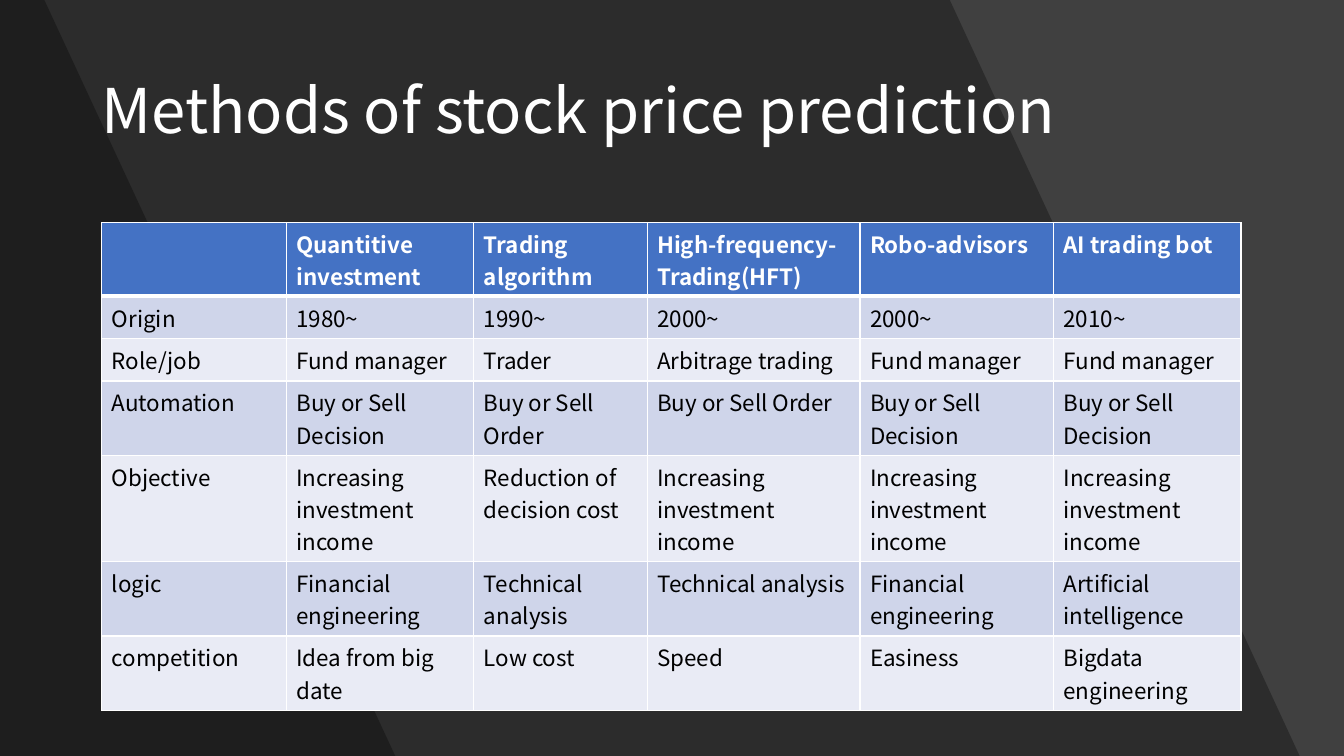
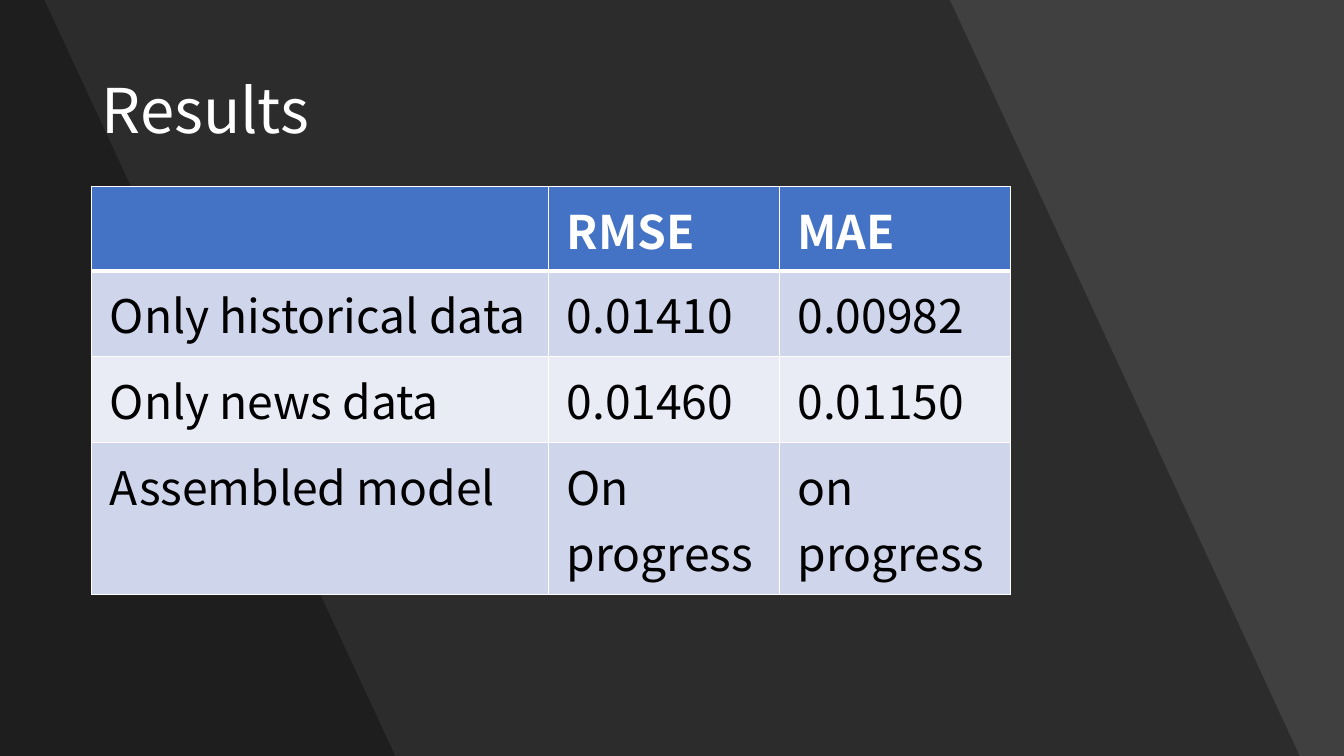
from dataclasses import dataclass

from lxml import etree
from pptx import Presentation
from pptx.dml.color import RGBColor
from pptx.enum.text import MSO_ANCHOR
from pptx.oxml.ns import qn
from pptx.util import Inches, Pt

MIDDLE = MSO_ANCHOR.MIDDLE
TOP = MSO_ANCHOR.TOP
BLANK_LAYOUT = 6


@dataclass(frozen=True)
class Theme:
    font: str = "Noto Sans CJK JP"
    backdrop: str = "404040"
    shade: str = "000000"
    shade_opacity: int = 30
    light_text: str = "FFFFFF"
    dark_text: str = "000000"
    header_fill: str = "4472C4"
    band_fills: tuple = ("CFD5EA", "E9EBF5")
    border: str = "FFFFFF"
    thin_border: int = 1
    thick_border: int = 3
    title_size: int = 44
    methods_size: int = 16
    results_size: int = 33


THEME = Theme()

METHODS = [
    ["", "Quantitive investment", "Trading algorithm", "High-frequency-Trading(HFT)",
     "Robo-advisors", "AI trading bot"],
    ["Origin", "1980~", "1990~", "2000~", "2000~", "2010~"],
    ["Role/job", "Fund manager", "Trader", "Arbitrage trading", "Fund manager", "Fund manager"],
    ["Automation", "Buy or Sell Decision", "Buy or Sell Order", "Buy or Sell Order",
     "Buy or Sell Decision", "Buy or Sell Decision"],
    ["Objective", "Increasing investment income", "Reduction of decision cost",
     "Increasing investment income", "Increasing investment income",
     "Increasing investment income"],
    ["logic", "Financial engineering", "Technical analysis", "Technical analysis",
     "Financial engineering", "Artificial intelligence"],
    ["competition", "Idea from big date", "Low cost", "Speed", "Easiness",
     "Bigdata engineering"],
]

RESULTS = [
    ["", "RMSE", "MAE"],
    ["Only historical data", "0.01410", "0.00982"],
    ["Only news data", "0.01460", "0.01150"],
    ["Assembled model", "On progress", "on progress"],
]


class SlideBuilder:
    def __init__(self, theme):
        self.theme = theme
        self.deck = Presentation()
        self.deck.slide_width = Inches(13.33)
        self.deck.slide_height = Inches(7.5)
        self.page = None

    def start_page(self, title):
        self.page = self.deck.slides.add_slide(self.deck.slide_layouts[BLANK_LAYOUT])
        fill = self.page.background.fill
        fill.solid()
        fill.fore_color.rgb = RGBColor.from_string(self.theme.backdrop)
        for top_right, bottom_right in ((9.42, 12.89), (0.44, 3.92)):
            self.add_shade(top_right, bottom_right)
        self.add_title(title)

    def add_shade(self, top_right, bottom_right):
        bottom = self.deck.slide_height
        outline = self.page.shapes.build_freeform(0, 0)
        outline.add_line_segments(
            [(Inches(top_right), 0), (Inches(bottom_right), bottom), (0, bottom)])
        shade = outline.convert_to_shape()
        shade.shadow.inherit = False
        shade.line.fill.background()
        shade.fill.solid()
        shade.fill.fore_color.rgb = RGBColor.from_string(self.theme.shade)
        color = shade._element.spPr.find(".//" + qn("a:srgbClr"))
        etree.SubElement(color, qn("a:alpha"), val=str(self.theme.shade_opacity * 1000))

    def add_span(self, para, text, size, color, bold=False):
        span = para.add_run()
        span.text = text
        span.font.name = self.theme.font
        span.font.size = Pt(size)
        span.font.bold = bold
        span.font.color.rgb = RGBColor.from_string(color)

    def add_title(self, text):
        box = self.page.shapes.add_textbox(
            Inches(0.91), Inches(0.4), Inches(11.51), Inches(1.45))
        frame = box.text_frame
        frame.word_wrap = True
        frame.vertical_anchor = MIDDLE
        para = frame.paragraphs[0]
        para.line_spacing = 0.9
        self.add_span(para, text, self.theme.title_size, self.theme.light_text)

    def add_table(self, rows, left, top, widths, heights, size, margins):
        table = self.page.shapes.add_table(
            len(rows), len(widths), Inches(left), Inches(top),
            Inches(sum(widths)), Inches(sum(heights))).table
        for column, width in zip(table.columns, widths):
            column.width = Inches(width)
        for row, height in zip(table.rows, heights):
            row.height = Inches(height)
        for row_index, texts in enumerate(rows):
            for column_index, text in enumerate(texts):
                self.fill_cell(table.cell(row_index, column_index), text,
                               row_index, size, margins)

    def fill_cell(self, cell, text, row_index, size, margins):
        theme = self.theme
        is_header = row_index == 0
        self.add_borders(cell, row_index)
        cell.fill.solid()
        cell.fill.fore_color.rgb = RGBColor.from_string(
            theme.header_fill if is_header else theme.band_fills[(row_index - 1) % 2])
        cell.margin_left = cell.margin_right = Inches(margins[0])
        cell.margin_top = cell.margin_bottom = Inches(margins[1])
        cell.vertical_anchor = TOP
        if text:
            color = theme.light_text if is_header else theme.dark_text
            self.add_span(cell.text_frame.paragraphs[0], text, size, color, is_header)

    def add_borders(self, cell, row_index):
        theme = self.theme
        properties = cell._tc.get_or_add_tcPr()
        thick_side = {0: "lnB", 1: "lnT"}.get(row_index)
        for side in ("lnL", "lnR", "lnT", "lnB"):
            width = theme.thick_border if side == thick_side else theme.thin_border
            border = etree.SubElement(properties, qn("a:" + side), w=str(Pt(width)))
            fill = etree.SubElement(border, qn("a:solidFill"))
            etree.SubElement(fill, qn("a:srgbClr"), val=theme.border)


def main():
    builder = SlideBuilder(THEME)

    builder.start_page("Methods of stock price prediction")
    builder.add_table(
        METHODS, left=1.01, top=2.21,
        widths=[1.83, 1.86, 1.72, 2.11, 1.92, 1.86],
        heights=[0.73, 0.42, 0.42, 0.74, 1.05, 0.74, 0.74],
        size=THEME.methods_size, margins=(0.1, 0.05))

    builder.start_page("Results")
    builder.add_table(
        RESULTS, left=0.91, top=1.85,
        widths=[4.53, 2.29, 2.29], heights=[0.84, 0.85, 0.85, 1.51],
        size=THEME.results_size, margins=(0.18, 0.09))

    builder.deck.save("out.pptx")


if __name__ == "__main__":
    main()
